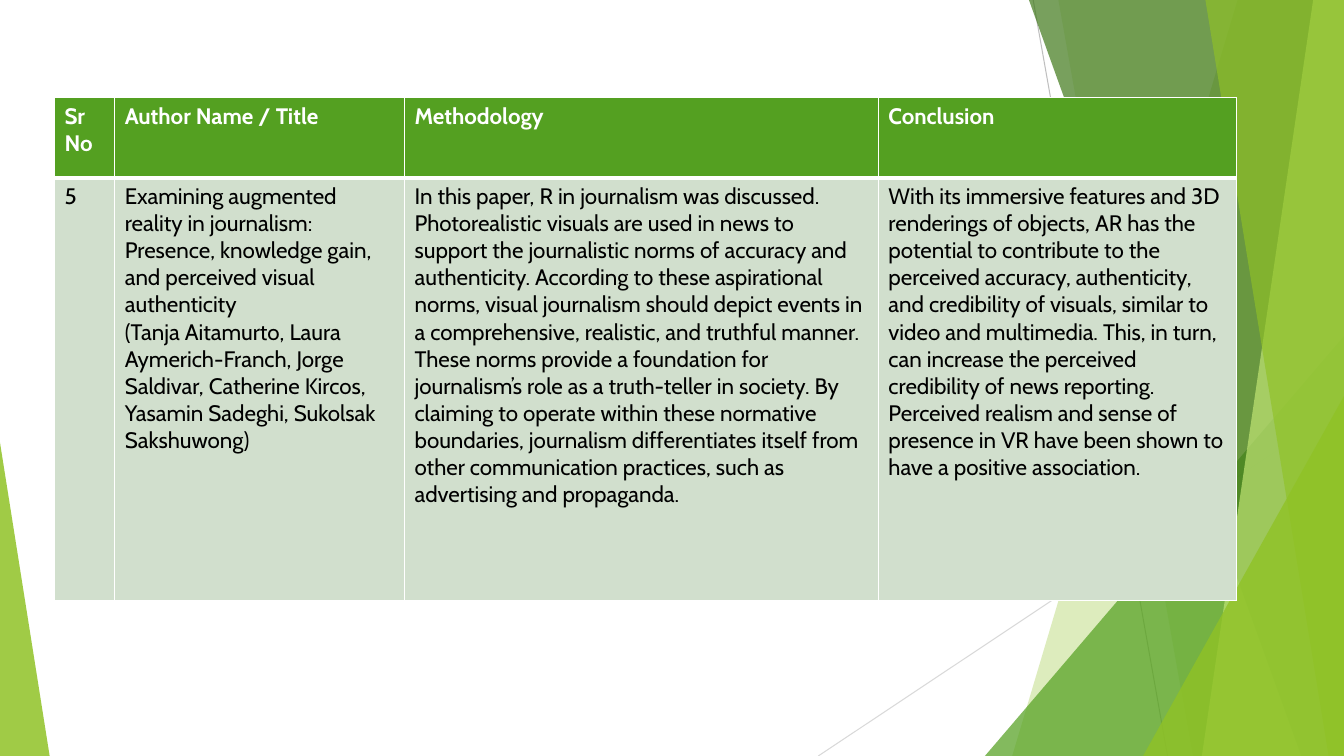
from lxml.etree import SubElement
from pptx import Presentation
from pptx.dml.color import RGBColor
from pptx.enum.shapes import MSO_CONNECTOR, MSO_SHAPE
from pptx.oxml.ns import qn
from pptx.util import Pt

WHITE = RGBColor(0xFF, 0xFF, 0xFF)
BLACK = RGBColor(0x00, 0x00, 0x00)
GRAY = RGBColor(0xBF, 0xBF, 0xBF)
LIGHT_GRAY = RGBColor(0xD9, 0xD9, 0xD9)
LIME = RGBColor(0x90, 0xC2, 0x26)
PALE_LIME = RGBColor(0xC0, 0xE4, 0x74)
GREEN = RGBColor(0x54, 0xA0, 0x21)
DARK_GREEN = RGBColor(0x3F, 0x78, 0x19)
PALE_GREEN = RGBColor(0xD1, 0xDF, 0xCD)

WIDTH, HEIGHT = 960, 540

HEADINGS = ["Sr No", "Author Name / Title", "Methodology", "Conclusion"]
PAPER = [
    "5",
    "Examining augmented reality in journalism: Presence, knowledge gain, "
    "and perceived visual authenticity\n"
    "(Tanja Aitamurto, Laura Aymerich-Franch, Jorge Saldivar, Catherine Kircos, "
    "Yasamin Sadeghi, Sukolsak Sakshuwong)",
    "In this paper, R in journalism was discussed. Photorealistic visuals are used in "
    "news to support the journalistic norms of accuracy and authenticity. According to "
    "these aspirational norms, visual journalism should depict events in a "
    "comprehensive, realistic, and truthful manner. These norms provide a foundation "
    "for journalism’s role as a truth-teller in society. By claiming to operate within "
    "these normative boundaries, journalism differentiates itself from other "
    "communication practices, such as advertising and propaganda.",
    "With its immersive features and 3D renderings of objects, AR has the potential to "
    "contribute to the perceived accuracy, authenticity, and credibility of visuals, "
    "similar to video and multimedia. This, in turn, can increase the perceived "
    "credibility of news reporting. Perceived realism and sense of presence in VR have "
    "been shown to have a positive association.",
]


def paint(shape, color, opacity):
    """Fill a shape with a see-through colour, without outline or shadow."""
    shape.shadow.inherit = False
    shape.line.fill.background()
    shape.fill.solid()
    shape.fill.fore_color.rgb = color
    color_element = shape.fill._xPr.find(qn("a:solidFill"))[0]
    SubElement(color_element, qn("a:alpha"), val=str(opacity * 1000))


def add_ray(slide, start, end, color):
    ray = slide.shapes.add_connector(
        MSO_CONNECTOR.STRAIGHT, *(Pt(value) for value in start + end))
    ray.line.color.rgb = color
    ray.line.width = Pt(0.75)
    SubElement(ray._element.spPr, qn("a:effectLst"))


def add_band(slide, top_x, bottom_x, right, height, color, opacity):
    """Fill the area between a slanted edge and the right border."""
    builder = slide.shapes.build_freeform(Pt(top_x), 0)
    builder.add_line_segments([
        (Pt(right), 0), (Pt(right), Pt(height)), (Pt(bottom_x), Pt(height))])
    paint(builder.convert_to_shape(), color, opacity)


def add_wedge(slide, left, top, right, bottom, apex, color, opacity):
    wedge = slide.shapes.add_shape(
        MSO_SHAPE.ISOSCELES_TRIANGLE,
        Pt(left), Pt(top), Pt(right - left), Pt(bottom - top))
    wedge.adjustments[0] = apex
    paint(wedge, color, opacity)


def add_backdrop(slide, width, height):
    # Thin rays
    add_ray(slide, (738, 0), (834, height), GRAY)
    add_ray(slide, (width, 290), (584.5, height), LIGHT_GRAY)
    # Overlapping green facets, back to front
    add_band(slide, 884, 723, width, height, LIME, 30)
    add_band(slide, 756, 852, width, height, LIME, 20)
    add_wedge(slide, 703.5, 240, width, height, 1, GREEN, 72)
    add_band(slide, 735, 929.5, width, height, DARK_GREEN, 70)
    add_band(slide, 938, 858.5, width, height, PALE_LIME, 70)
    add_band(slide, 861, 949, width, height, LIME, 65)
    add_wedge(slide, 816.5, 283, width, height, 1, LIME, 80)
    # Left corner
    add_wedge(slide, 0, 316, 35.5, height, 0, LIME, 85)


def set_borders(cell, widths):
    properties = cell._tc.get_or_add_tcPr()
    for side, width in widths.items():
        line = SubElement(properties, qn(f"a:ln{side}"), w=str(Pt(width)))
        fill = SubElement(line, qn("a:solidFill"))
        SubElement(fill, qn("a:srgbClr"), val=str(WHITE))


def format_cell(cell, text, is_heading):
    cell.text = text
    if is_heading:
        set_borders(cell, {"L": 1, "R": 1, "T": 1, "B": 3})
    else:
        set_borders(cell, {"L": 1, "R": 1, "B": 1})
    cell.fill.solid()
    cell.fill.fore_color.rgb = GREEN if is_heading else PALE_GREEN
    for paragraph in cell.text_frame.paragraphs:
        paragraph.font.name = "Cabin"
        paragraph.font.size = Pt(16)
        paragraph.font.bold = is_heading
        paragraph.font.color.rgb = WHITE if is_heading else BLACK


def add_review_table(slide, left, top, column_widths, row_heights):
    table = slide.shapes.add_table(
        len(row_heights), len(column_widths), Pt(left), Pt(top),
        Pt(sum(column_widths)), Pt(sum(row_heights))).table
    for column, width in zip(table.columns, column_widths):
        column.width = Pt(width)
    for row, height in zip(table.rows, row_heights):
        row.height = Pt(height)
    for row_index, texts in enumerate([HEADINGS, PAPER]):
        for column_index, text in enumerate(texts):
            format_cell(table.cell(row_index, column_index), text, row_index == 0)


def main():
    presentation = Presentation()
    presentation.slide_width = Pt(WIDTH)
    presentation.slide_height = Pt(HEIGHT)
    slide = presentation.slides.add_slide(presentation.slide_layouts[6])
    add_backdrop(slide, WIDTH, HEIGHT)
    add_review_table(slide, 39, 69.75, [43, 207, 338.5, 255.5], [57.5, 301.5])
    presentation.save("out.pptx")


if __name__ == "__main__":
    main()
